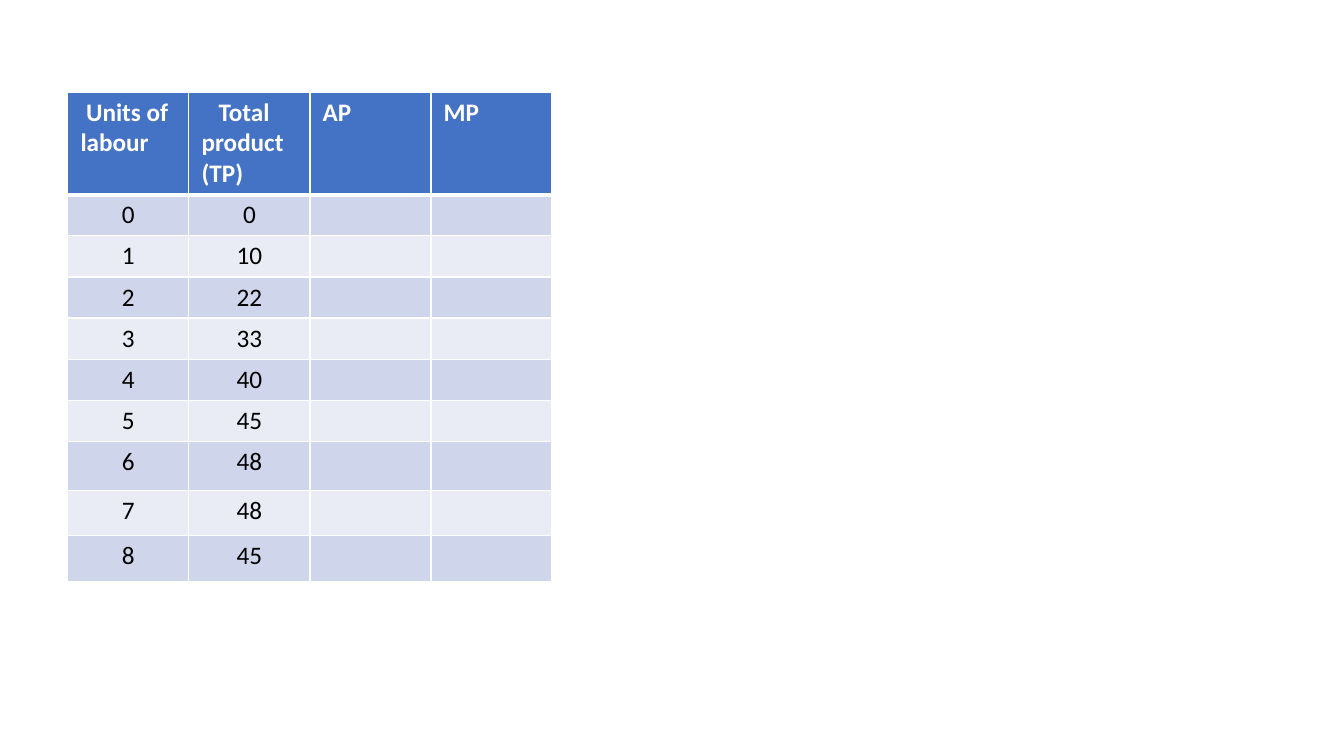
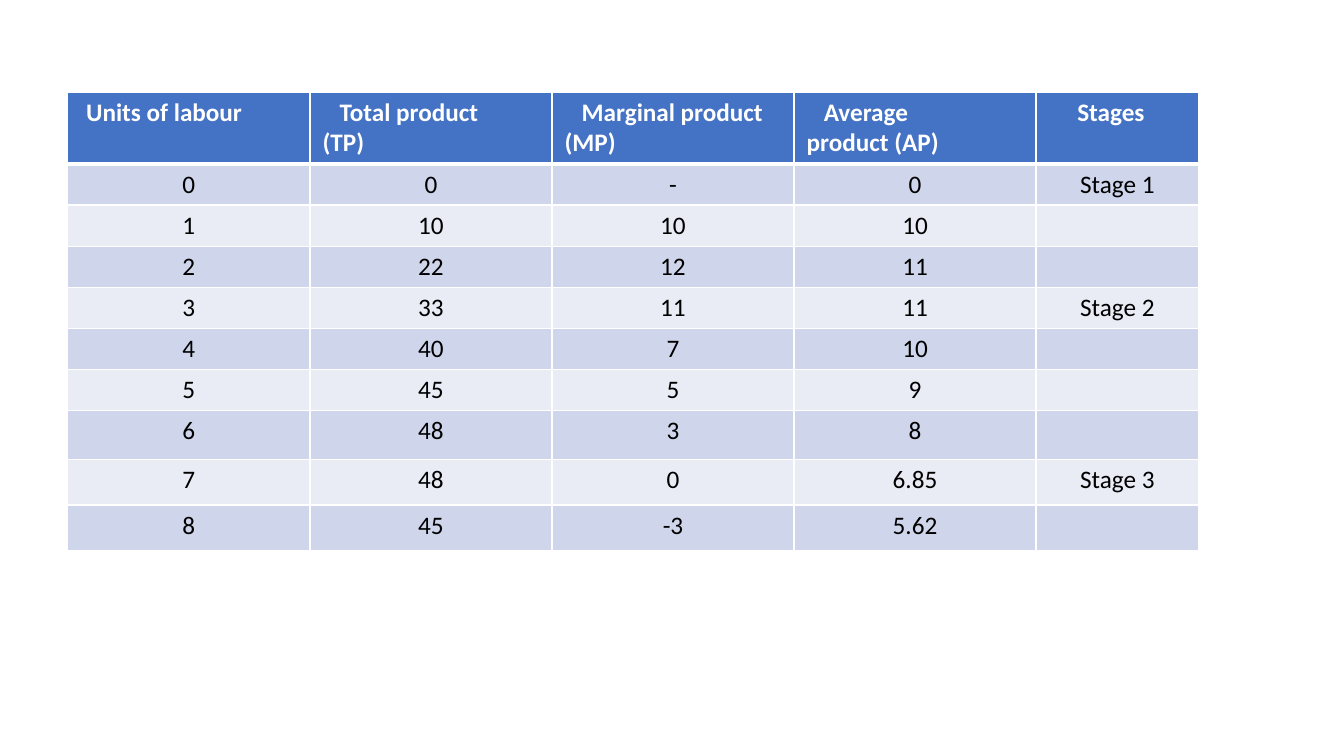
from pptx import Presentation
from pptx.util import Cm, Pt
from pptx.dml.color import RGBColor
from pptx.enum.text import PP_ALIGN as Align
from pptx.oxml import parse_xml
from pptx.oxml.ns import nsdecls

BLUE = RGBColor(0x44, 0x72, 0xC4)
DARK = RGBColor(0xCF, 0xD5, 0xEA)
LIGHT = RGBColor(0xE9, 0xEB, 0xF5)
WHITE = RGBColor(0xFF, 0xFF, 0xFF)
BLACK = RGBColor(0, 0, 0)
FONT, SIZE = "Calibri", Pt(18)
LEFT, TOP = Cm(1.71), Cm(2.32)
BODY = [Cm(1.03)] * 6 + [Cm(1.23)] + [Cm(1.15)] * 2

# units of labour, total, marginal and average product, stage
DATA = [
    ("0", "0", "-", "0", "Stage 1"),
    ("1", "10", "10", "10", ""),
    ("2", "22", "12", "11", ""),
    ("3", "33", "11", "11", "Stage 2"),
    ("4", "40", "7", "10", ""),
    ("5", "45", "5", "9", ""),
    ("6", "48", "3", "8", ""),
    ("7", "48", "0", "6.85", "Stage 3"),
    ("8", "45", "-3", "5.62", ""),
]


def style(cell, row):
    """Give a cell its borders, fill, margins and text format."""
    props = cell._tc.get_or_add_tcPr()
    widths = {"L": 1, "R": 1, "T": 3 if row == 1 else 1, "B": 3 if row == 0 else 1}
    for side, width in widths.items():
        props.append(parse_xml(
            f'<a:ln{side} {nsdecls("a")} w="{Pt(width)}"><a:solidFill>'
            f'<a:srgbClr val="{WHITE}"/></a:solidFill></a:ln{side}>'))
    cell.fill.solid()
    cell.fill.fore_color.rgb = BLUE if row == 0 else DARK if row % 2 else LIGHT
    cell.margin_left = cell.margin_right = Cm(0.32)
    cell.margin_top = cell.margin_bottom = Cm(0.13)
    for para in cell.text_frame.paragraphs:
        para.alignment = Align.CENTER if row else Align.LEFT
        para.font.size = SIZE
        for run in para.runs:
            run.font.name, run.font.size = FONT, SIZE
            run.font.bold = row == 0
            run.font.color.rgb = BLACK if row else WHITE


def add_grid(deck, heads, body, widths, height):
    """Add a slide with one table; heads pair a text with its first-line indent."""
    slide = deck.slides.add_slide(deck.slide_layouts[6])
    heights = [height] + BODY
    table = slide.shapes.add_table(
        len(heights), len(widths), LEFT, TOP, sum(widths), sum(heights)).table
    for col, width in zip(table.columns, widths):
        col.width = width
    for row, tall in zip(table.rows, heights):
        row.height = tall
    texts = [[text for text, _ in heads]] + body
    for i, line in enumerate(texts):
        for j, text in enumerate(line):
            cell = table.cell(i, j)
            cell.text_frame.text = text
            style(cell, i)
    for j, (_, indent) in enumerate(heads):
        first = table.cell(0, j).text_frame.paragraphs[0]
        first._p.get_or_add_pPr().set("indent", str(Cm(indent)))


deck = Presentation()
deck.slide_width, deck.slide_height = Cm(33.87), Cm(19.05)

shared = [("Units of labour", 0.14), ("Total product\n(TP)", 0.43)]

add_grid(deck, shared + [("AP", 0), ("MP", 0)],
         [[*line[:2], "", ""] for line in DATA],
         [Cm(3.05)] * 4, Cm(2.55))

add_grid(deck, shared + [("Marginal product (MP)", 0.43),
                         ("Average\vproduct (AP)", 0.43), ("Stages", 0.72)],
         DATA, [Cm(6.1)] * 4 + [Cm(4.1)], Cm(1.78))

deck.save("out.pptx")
